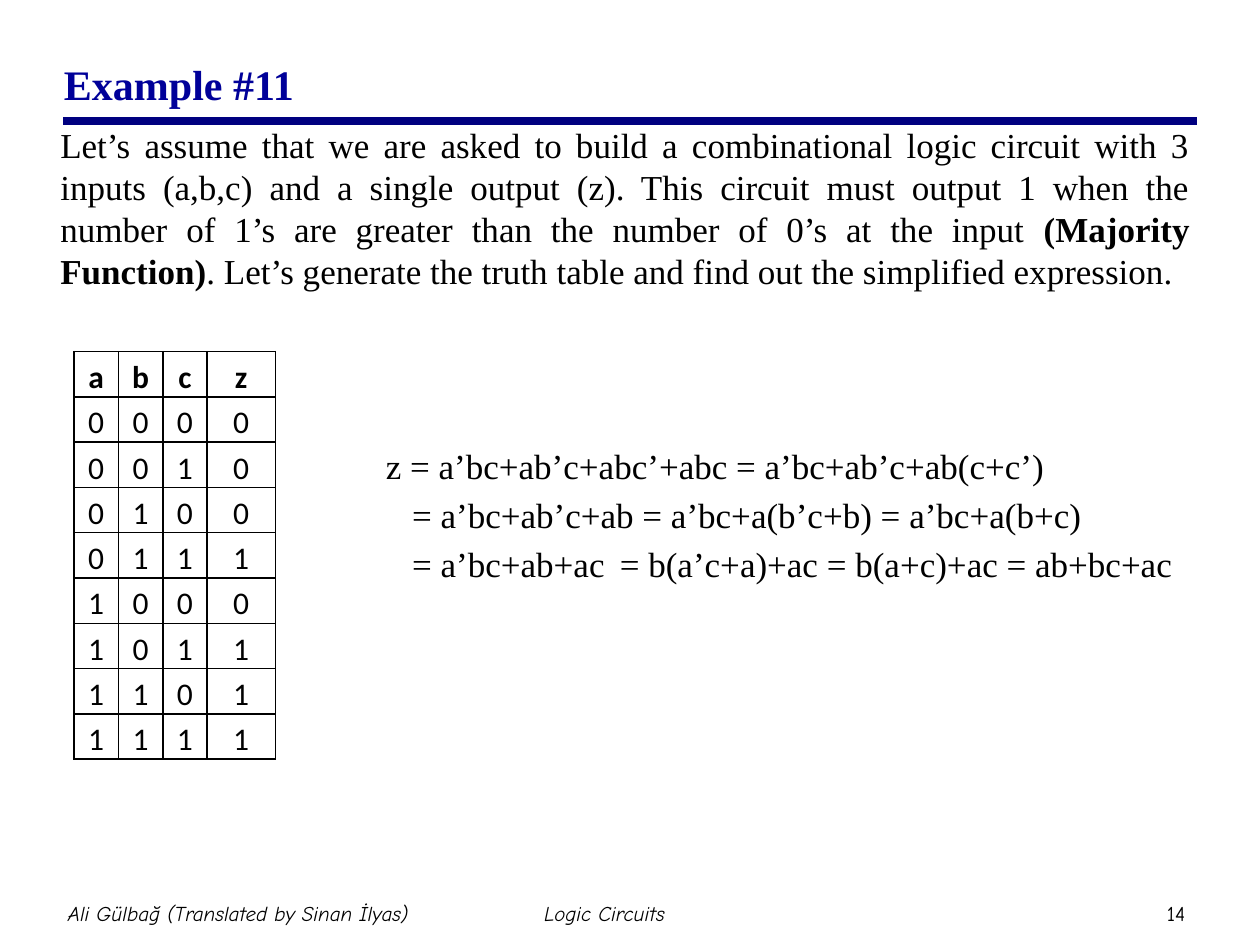
from lxml import etree
from pptx import Presentation
from pptx.dml.color import RGBColor
from pptx.enum.shapes import MSO_CONNECTOR
from pptx.enum.text import MSO_ANCHOR, PP_ALIGN
from pptx.oxml.ns import qn
from pptx.util import Pt

SERIF, SANS, HAND = "Times New Roman", "Calibri", "Comic Neue"
BLACK, TITLE_BLUE, RULE_NAVY = "000000", "000099", "000080"

TASK = [
    ("Let’s assume that we are asked to build a combinational logic circuit "
     "with 3 inputs (a,b,c) and a single output (z). This circuit must output 1 "
     "when the number of 1’s are greater than the number of 0’s at the input ", False),
    ("(Majority Function)", True),
    (". Let’s generate the truth table and find out the simplified expression.", False),
]
DERIVATION = [
    "z = a’bc+ab’c+abc’+abc = a’bc+ab’c+ab(c+c’)",
    "\t= a’bc+ab’c+ab = a’bc+a(b’c+b) = a’bc+a(b+c)",
    "\t= a’bc+ab+ac\t= b(a’c+a)+ac = b(a+c)+ac = ab+bc+ac",
]
TRUTH_TABLE = ["abcz", "0000", "0010", "0100", "0111",
               "1000", "1011", "1101", "1111"]


def color(hex_value):
    return RGBColor.from_string(hex_value)


def style(paragraph, face, size, hex_value=BLACK, bold=False, italic=False):
    font = paragraph.font
    font.name, font.size = face, Pt(size)
    font.bold, font.italic = bold, italic
    font.color.rgb = color(hex_value)


def add_frame(slide, box, anchor=MSO_ANCHOR.TOP, inset=None):
    """Add a wrapping text box and return its text frame."""
    frame = slide.shapes.add_textbox(*map(Pt, box)).text_frame
    frame.word_wrap = True
    frame.vertical_anchor = anchor
    if inset is not None:
        frame.margin_left = frame.margin_right = Pt(inset)
        frame.margin_top = frame.margin_bottom = Pt(inset)
    return frame


def add_header(slide, box):
    left, top, width, height = box
    title = add_frame(slide, box, MSO_ANCHOR.MIDDLE).paragraphs[0]
    title.text = "Example #11"
    style(title, SERIF, 24, TITLE_BLUE, bold=True)

    rule_y = top + 52.5
    rule = slide.shapes.add_connector(
        MSO_CONNECTOR.STRAIGHT, Pt(36), Pt(rule_y), Pt(684), Pt(rule_y))
    rule.line.color.rgb = color(RULE_NAVY)
    rule.line.width = Pt(4.5)
    etree.SubElement(rule._element.spPr, qn("a:effectLst"))


def add_task(slide, box):
    paragraph = add_frame(slide, box).paragraphs[0]
    paragraph.alignment = PP_ALIGN.JUSTIFY
    for words, bold in TASK:
        run = paragraph.add_run()
        run.text = words
        run.font.bold = bold
    style(paragraph, SERIF, 20)


def add_tab_stops(paragraph, positions):
    stops = etree.SubElement(paragraph._p.get_or_add_pPr(), qn("a:tabLst"))
    for position in positions:
        etree.SubElement(stops, qn("a:tab"), pos=str(Pt(position)), algn="l")


def add_derivation(slide, box):
    frame = add_frame(slide, box)
    for index, line in enumerate(DERIVATION):
        paragraph = frame.add_paragraph() if index else frame.paragraphs[0]
        paragraph.text = line
        if index:
            paragraph.space_before = Pt(4)
            add_tab_stops(paragraph, (15, 133.7))
        style(paragraph, SERIF, 20)


def add_borders(cell):
    properties = cell._tc.get_or_add_tcPr()
    for index, side in enumerate(("a:lnL", "a:lnR", "a:lnT", "a:lnB")):
        border = etree.Element(qn(side), w=str(Pt(1)))
        fill = etree.SubElement(border, qn("a:solidFill"))
        etree.SubElement(fill, qn("a:srgbClr"), val=BLACK)
        properties.insert(index, border)


def add_truth_table(slide, box):
    table = slide.shapes.add_table(
        len(TRUTH_TABLE), len(TRUTH_TABLE[0]), *map(Pt, box)).table
    table.first_row = table.horz_banding = False
    for column, width in zip(table.columns, (25.4, 25.4, 25.4, 38.9)):
        column.width = Pt(width)
    for r, values in enumerate(TRUTH_TABLE):
        table.rows[r].height = Pt(box[3] / len(TRUTH_TABLE))
        for c, value in enumerate(values):
            cell = table.cell(r, c)
            cell.margin_left = cell.margin_right = Pt(3.6)
            cell.margin_top, cell.margin_bottom = Pt(0.7), Pt(0)
            cell.vertical_anchor = MSO_ANCHOR.MIDDLE
            cell.fill.background()
            add_borders(cell)
            paragraph = cell.text_frame.paragraphs[0]
            paragraph.text = value
            paragraph.alignment = PP_ALIGN.CENTER
            paragraph.line_spacing = 1.15
            style(paragraph, SANS, 18, bold=r == 0)


def add_footer(slide, box):
    left, top, width, height = box
    parts = [
        ("Ali Gülbağ (Translated by Sinan İlyas)", 0, 257.8, True),
        ("Logic Circuits", 209.3, 257.8, True),
        ("14", 648, 33.8, False),
    ]
    for words, offset, part_width, italic in parts:
        frame = add_frame(slide, (left + offset, top, part_width, height),
                          MSO_ANCHOR.MIDDLE, inset=3.6)
        paragraph = frame.paragraphs[0]
        paragraph.text = words
        paragraph.alignment = PP_ALIGN.CENTER
        style(paragraph, HAND, 12, italic=italic)


def main():
    deck = Presentation()
    deck.slide_width, deck.slide_height = Pt(720), Pt(540)
    slide = deck.slides.add_slide(deck.slide_layouts[6])
    add_header(slide, (29.5, 16.6, 612, 61.9))
    add_task(slide, (27.4, 67, 659.5, 104))
    add_derivation(slide, (213.4, 250.4, 480, 88))
    add_truth_table(slide, (42.2, 200.9, 115.1, 233.1))
    add_footer(slide, (7.2, 504, 681.8, 36))
    deck.save("out.pptx")


if __name__ == "__main__":
    main()
